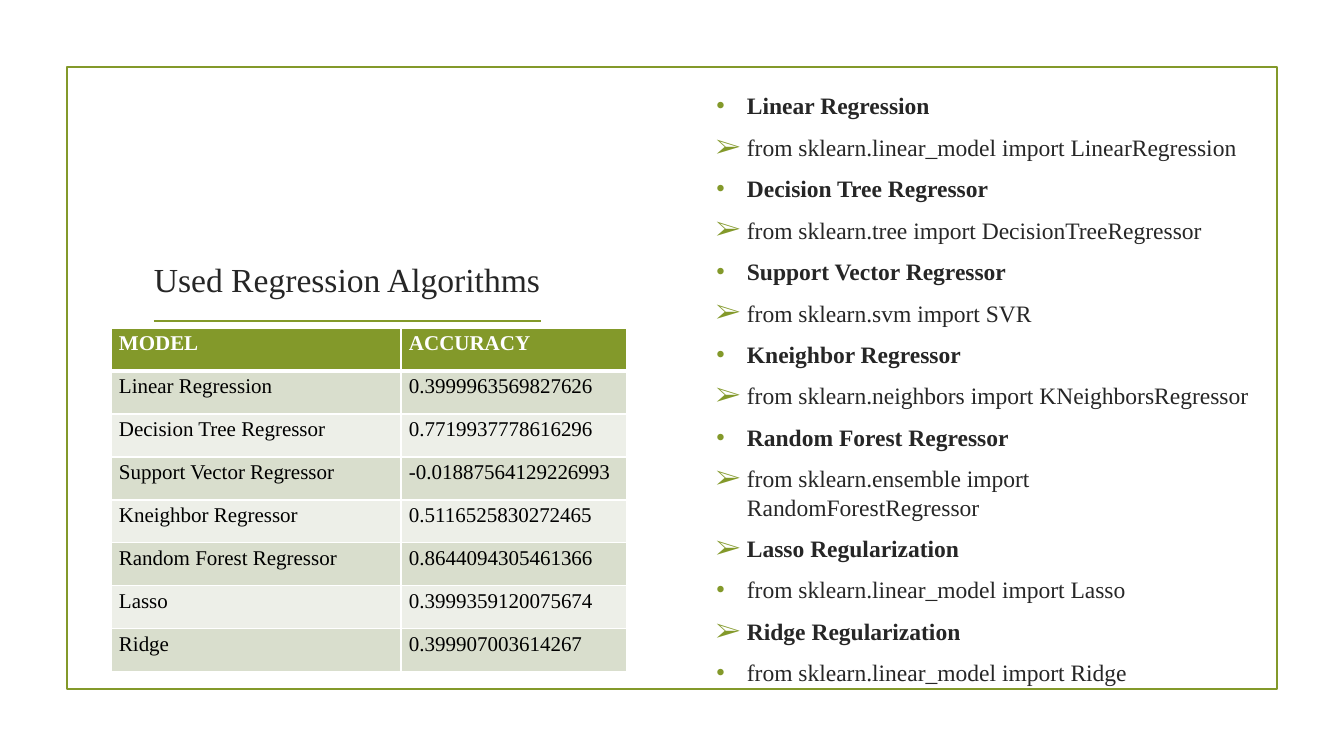
from lxml import etree
from pptx import Presentation
from pptx import util as u
from pptx.dml.color import RGBColor
from pptx.enum import shapes, text
from pptx.oxml.ns import qn

# Content
TITLE = "Used Regression Algorithms"
DOT, ARROW = "•", "➢"
NOTES = [  # heading, import line, bullet of each
    ("Linear Regression", "from sklearn.linear_model import LinearRegression", DOT, ARROW),
    ("Decision Tree Regressor", "from sklearn.tree import DecisionTreeRegressor", DOT, ARROW),
    ("Support Vector Regressor", "from sklearn.svm import SVR", DOT, ARROW),
    ("Kneighbor Regressor", "from sklearn.neighbors import KNeighborsRegressor", DOT, ARROW),
    ("Random Forest Regressor", "from sklearn.ensemble import RandomForestRegressor", DOT, ARROW),
    ("Lasso Regularization", "from sklearn.linear_model import Lasso", ARROW, DOT),
    ("Ridge Regularization", "from sklearn.linear_model import Ridge", ARROW, DOT),
]
SCORES = [
    ("MODEL", "ACCURACY"),
    ("Linear Regression", "0.3999963569827626"),
    ("Decision Tree Regressor", "0.7719937778616296"),
    ("Support Vector Regressor", "-0.01887564129226993"),
    ("Kneighbor Regressor", "0.5116525830272465"),
    ("Random Forest Regressor", "0.8644094305461366"),
    ("Lasso", "0.3999359120075674"),
    ("Ridge", "0.399907003614267"),
]
FONT = "Times New Roman"
GREEN, INK, WHITE, BLACK = "83992A", "262626", "FFFFFF", "000000"
BANDS = ["EDEFE8", "D9DECD"]
COLS, ROW = [290, 226], 43


def px(n):
    return u.Emu(round(n * 914400 / 100.8))


def rgb(code):
    return RGBColor.from_string(code)


def write(par, words, size=15, color=INK, bold=False, align=None):
    par.alignment = align
    run = par.add_run()
    run.text = words
    font = run.font
    font.name, font.size, font.bold = FONT, u.Pt(size), bold
    font.color.rgb = rgb(color)


def child(parent, tag, **attrs):
    return etree.SubElement(parent, qn(tag), attrs)


def bullet(par, char):
    par.space_before, par.space_after = u.Pt(3.4), u.Pt(6)
    par.line_spacing = 1.0
    props = par._p.get_or_add_pPr()
    props.set("marL", str(px(31)))
    props.set("indent", str(-px(31)))
    child(child(props, "a:buClr"), "a:srgbClr", val=GREEN)
    child(props, "a:buSzPct", val="115000")
    child(props, "a:buFont", typeface=FONT)
    child(props, "a:buChar", char=char)


def border(cell, top, bottom):
    props = cell._tc.get_or_add_tcPr()
    for side, width in (("L", 1), ("R", 1), ("T", top), ("B", bottom)):
        line = child(props, "a:ln" + side, w=str(u.Pt(width)))
        child(child(line, "a:solidFill"), "a:srgbClr", val=WHITE)


def textbox(slide, box, anchor):
    frame = slide.shapes.add_textbox(*map(px, box)).text_frame
    frame.word_wrap = True
    frame.vertical_anchor = anchor
    return frame


def main():
    prs = Presentation()
    prs.slide_width, prs.slide_height = px(1344), px(756)
    slide = prs.slides.add_slide(prs.slide_layouts[6])

    # Frame and title rule
    rect = slide.shapes.add_shape(shapes.MSO_SHAPE.RECTANGLE, *map(px, (67, 67, 1210, 622)))
    rect.shadow.inherit = False
    rect.fill.background()
    rule = slide.shapes.add_connector(
        shapes.MSO_CONNECTOR.STRAIGHT, *map(px, (154, 321, 541, 321)))
    child(rule._element.spPr, "a:effectLst")
    for item in (rect, rule):
        item.line.color.rgb = rgb(GREEN)
        item.line.width = u.Pt(1.25)

    # Title
    title = textbox(slide, (142, 153, 410, 151), text.MSO_ANCHOR.BOTTOM)
    write(title.paragraphs[0], TITLE, size=24, align=text.PP_ALIGN.CENTER)

    # Algorithms and their imports
    body = textbox(slide, (706, 107, 563, 564), text.MSO_ANCHOR.MIDDLE)
    lines = [line for head, code, first, second in NOTES
             for line in ((head, first, True), (code, second, False))]
    for i, (words, char, bold) in enumerate(lines):
        par = body.add_paragraph() if i else body.paragraphs[0]
        bullet(par, char)
        write(par, words, size=16.8, bold=bold)

    # Accuracy table
    size = (sum(COLS), ROW * len(SCORES))
    table = slide.shapes.add_table(
        len(SCORES), len(COLS), *map(px, (111, 328, *size))).table
    table.horz_banding = False
    for col, width in zip(table.columns, COLS):
        col.width = px(width)
    for r, row in enumerate(SCORES):
        table.rows[r].height = px(ROW)
        for c, words in enumerate(row):
            cell = table.cell(r, c)
            cell.margin_left = cell.margin_right = px(8)
            cell.margin_top = cell.margin_bottom = px(4)
            border(cell, top=3 if r == 1 else 1, bottom=1 if r else 3)
            cell.fill.solid()
            cell.fill.fore_color.rgb = rgb(BANDS[r % 2] if r else GREEN)
            write(cell.text_frame.paragraphs[0], words,
                  color=BLACK if r else WHITE, bold=r == 0)

    prs.save("out.pptx")


if __name__ == "__main__":
    main()
